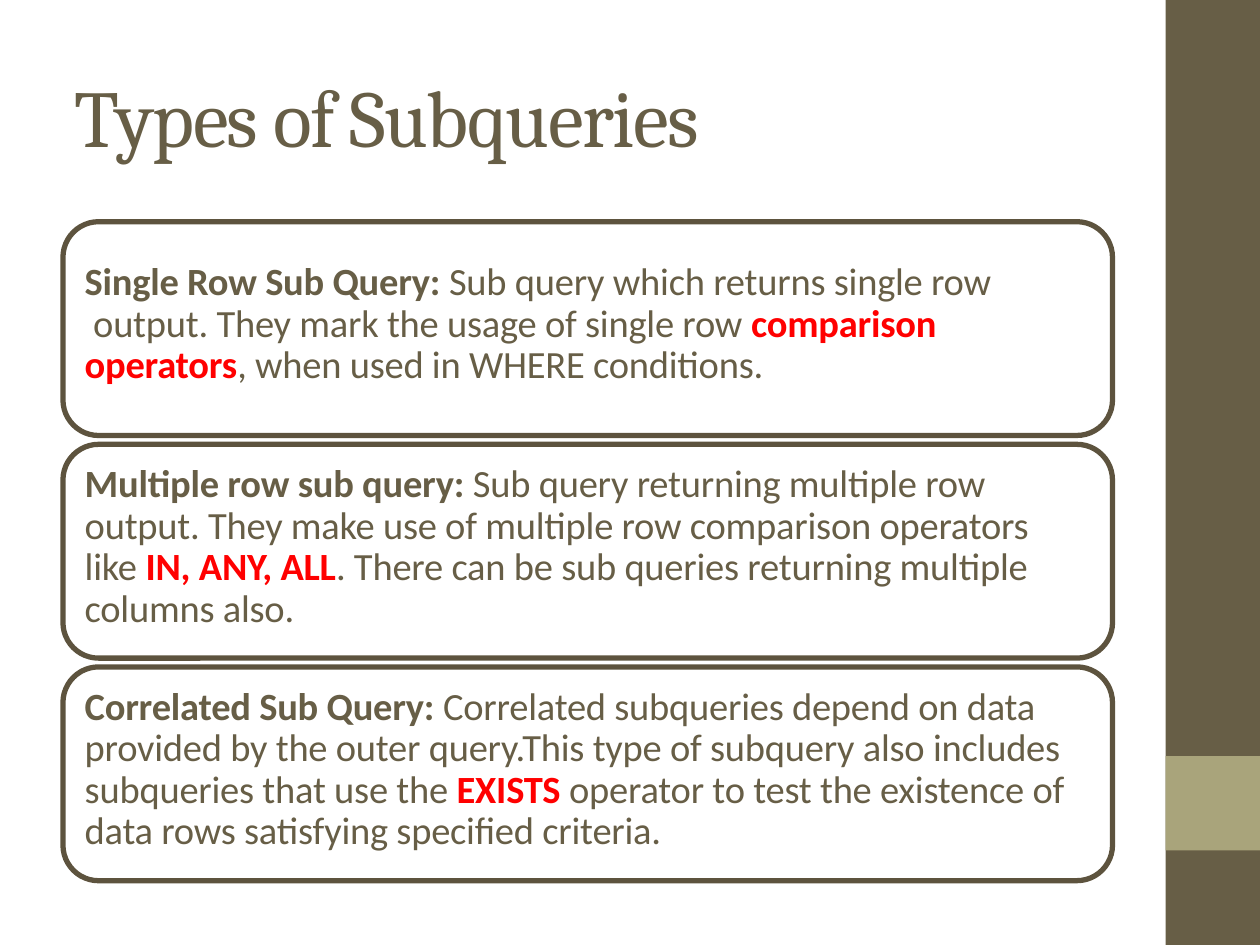
import pptx
import pptx.util
import pptx.dml.color
import pptx.enum.shapes
import pptx.enum.text

Inches = pptx.util.Inches
Pt = pptx.util.Pt
MSO_SHAPE = pptx.enum.shapes.MSO_SHAPE
ANCHOR = pptx.enum.text.MSO_ANCHOR

COLORS = {"olive": "675E46", "sage": "A9A47B", "outline": "5D533E",
          "red": "FF0000", "white": "FFFFFF"}

# Each card: runs of (text, style)
SUBQUERY_TYPES = [
    [("Single Row Sub Query: ", "term"),
     ("Sub query which returns single row \u00a0output. "
      "They mark the usage of single row ", "plain"),
     ("comparison operators", "key"),
     (", when used in WHERE conditions.", "plain")],
    [("Multiple row sub query: ", "term"),
     ("Sub query returning multiple row output. They make use of "
      "multiple row comparison operators like ", "plain"),
     ("IN, ANY, ALL", "key"),
     (". There can be sub queries returning multiple columns also.", "plain")],
    [("Correlated Sub Query: ", "term"),
     ("Correlated subqueries depend on data provided by the outer "
      "query.This type of subquery also includes subqueries that use the ",
      "plain"),
     ("EXISTS ", "key"),
     ("operator to test the existence of data rows satisfying "
      "specified criteria.", "plain")],
]
STYLES = {"term": {"bold": True}, "plain": {},
          "key": {"bold": True, "color": "red"}}


def rgb(name):
    return pptx.dml.color.RGBColor.from_string(COLORS[name])


def add_text(paragraph, text, size=22, font="Calibri", color="olive",
             bold=False, spacing=-0.1):
    run = paragraph.add_run()
    run.text = text
    run.font.size = Pt(size)
    run.font.name = font
    run.font.bold = bold
    run.font.color.rgb = rgb(color)
    run.font._element.set("spc", str(round(spacing * 100)))


def set_frame(frame, anchor, left=0, top=0, right=0, bottom=0):
    frame.word_wrap = True
    frame.vertical_anchor = anchor
    frame.margin_left, frame.margin_top = Inches(left), Inches(top)
    frame.margin_right, frame.margin_bottom = Inches(right), Inches(bottom)


def add_block(slide, kind, left, top, width, height, fill, outline=None):
    block = slide.shapes.add_shape(kind, Inches(left), Inches(top),
                                   Inches(width), Inches(height))
    block.shadow.inherit = False
    block.fill.solid()
    block.fill.fore_color.rgb = rgb(fill)
    if outline:
        block.line.color.rgb = rgb(outline)
        block.line.width = Pt(3)
    else:
        block.line.fill.background()
    return block


def add_sidebar(slide, left, top, width, height):
    add_block(slide, MSO_SHAPE.RECTANGLE, left, top, width, height, "olive")
    # Light band, one tenth of the height
    add_block(slide, MSO_SHAPE.RECTANGLE, left, top + 0.8 * height,
              width, 0.1 * height, "sage")


def add_title(slide, left, top, width, height):
    title = slide.shapes.add_textbox(Inches(left), Inches(top),
                                     Inches(width), Inches(height))
    set_frame(title.text_frame, ANCHOR.TOP, top=0.02)
    add_text(title.text_frame.paragraphs[0], "Types of Subqueries",
             size=46, font="Cambria", spacing=-0.9)


def add_cards(slide, left, top, width, height, gap):
    count = len(SUBQUERY_TYPES)
    card_height = (height - gap * (count - 1)) / count
    for index, runs in enumerate(SUBQUERY_TYPES):
        card = add_block(slide, MSO_SHAPE.ROUNDED_RECTANGLE, left,
                         top + index * (card_height + gap),
                         width, card_height, "white", "outline")
        # The shape's own text area is already inset by its round corners
        set_frame(card.text_frame, ANCHOR.MIDDLE, left=0.09, right=0.2,
                  bottom=0.06)
        paragraph = card.text_frame.paragraphs[0]
        paragraph.alignment = pptx.enum.text.PP_ALIGN.LEFT
        paragraph.line_spacing = 0.9
        for text, style in runs:
            add_text(paragraph, text, **STYLES[style])


deck = pptx.Presentation()
deck.slide_width, deck.slide_height = Inches(10), Inches(7.5)
slide = deck.slides.add_slide(deck.slide_layouts[6])

add_sidebar(slide, 9.25, 0, 0.75, 7.5)
add_title(slide, 0.59, 0.51, 6, 0.79)
add_cards(slide, 0.5, 1.76, 8.33, 5.23, gap=0.07)

deck.save("out.pptx")
